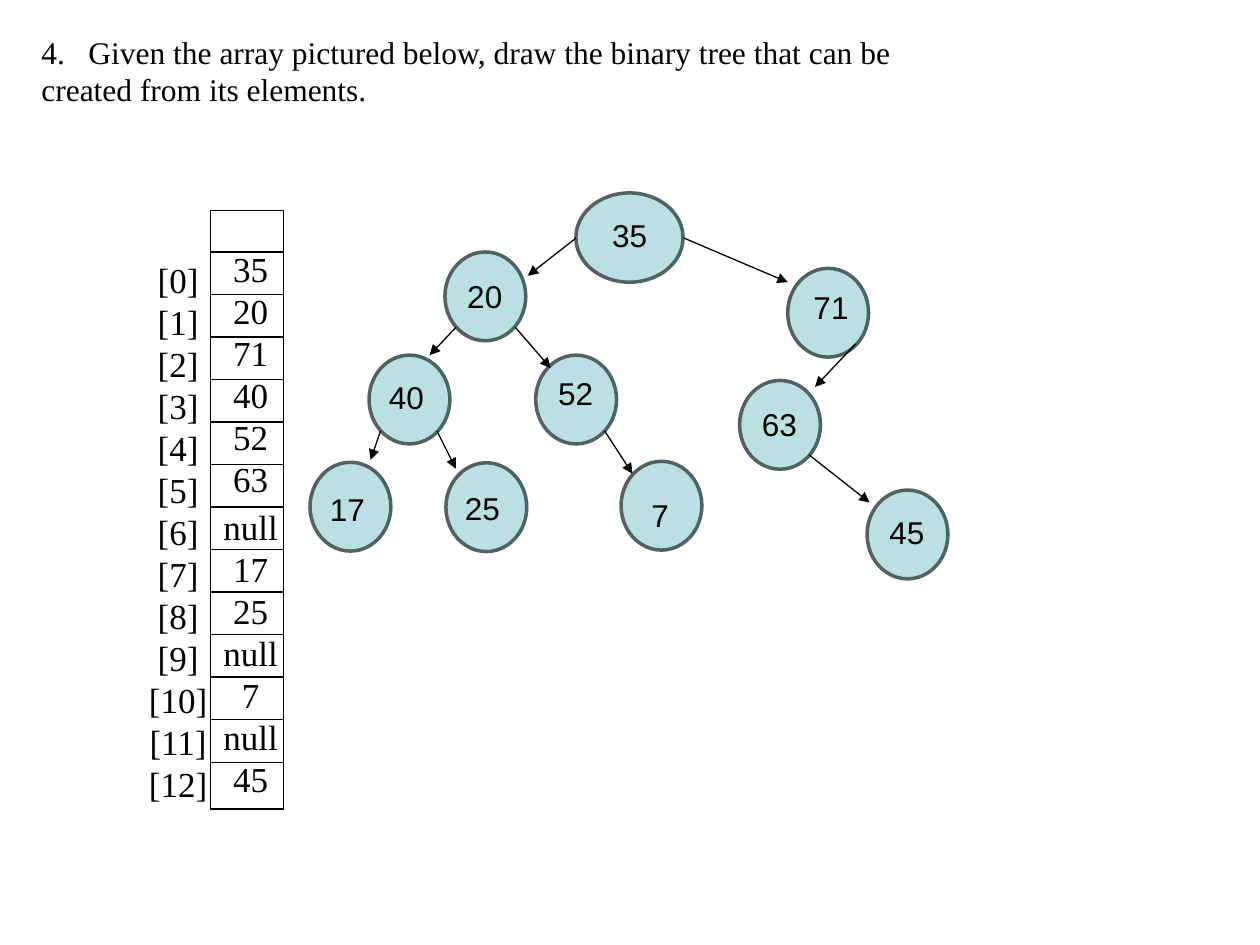
from lxml.etree import SubElement
from pptx import Presentation
from pptx.dml.color import RGBColor
from pptx.enum.shapes import MSO_CONNECTOR as Connector, MSO_SHAPE as Shape
from pptx.enum.text import MSO_ANCHOR as Anchor, MSO_AUTO_SIZE as AutoSize, PP_ALIGN as Align
from pptx.oxml.ns import qn
from pptx.util import Cm, Pt

COLORS = {"ink": "000000", "node": "BBE0E3", "outline": "526263"}
SERIF, SANS = "Times New Roman", "Arial"

QUESTION = [
    "Given the array pictured below, draw the binary tree that can be",
    "created from its elements.",
]
VALUES = ["35", "20", "71", "40", "52", "63", "null",
          "17", "25", "null", "7", "null", "45"]

NODE_SIZE = (1.63, 1.79)
ROOT_SIZE = (2.16, 1.8)
NODES = [
    ("35", (11.61, 3.89), (12.09, 4.24)),
    ("20", (8.97, 5.08), (9.17, 5.46)),
    ("71", (15.88, 5.41), (16.15, 5.69)),
    ("40", (7.44, 7.16), (7.59, 7.49)),
    ("52", (10.8, 7.16), (11, 7.42)),
    ("63", (14.91, 7.67), (15.11, 8.05)),
    ("17", (6.25, 9.32), (6.4, 9.75)),
    ("25", (8.99, 9.33), (9.12, 9.73)),
    ("7", (12.52, 9.3), (12.88, 9.88)),
    ("45", (17.48, 9.88), (17.68, 10.21)),
]
EDGES = [
    (11.61, 4.8, 10.64, 5.56),
    (13.79, 4.8, 15.88, 5.69),
    (9.19, 6.6, 8.66, 7.16),
    (10.39, 6.6, 11.1, 7.42),
    (17.25, 6.93, 16.43, 7.8),
    (7.67, 8.69, 7.47, 9.27),
    (8.81, 8.69, 9.19, 9.45),
    (12.19, 8.69, 12.75, 9.55),
    (16.31, 9.17, 17.53, 10.13),
]
CELL_LEFT, CELL_TOP, CELL_WIDTH, COLUMN_HEIGHT = 4.24, 4.24, 1.47, 12.07
FIRST_RULE, RULE_STEP = 5.08, 0.857


def color(name):
    return RGBColor.from_string(COLORS[name])


def set_format(target, values):
    for name, value in values.items():
        setattr(target, name, value)


def place(shape, left, top, width, height):
    set_format(shape, {"left": Cm(left), "top": Cm(top),
                       "width": Cm(width), "height": Cm(height)})


def write_lines(shape, lines, font, size, alignment, spacing=None):
    frame = shape.text_frame
    set_format(frame, {"word_wrap": False, "auto_size": AutoSize.NONE,
                       "vertical_anchor": Anchor.TOP})
    frame.text = "\n".join(lines)
    for paragraph in frame.paragraphs:
        set_format(paragraph, {"alignment": alignment, "line_spacing": spacing,
                               "space_before": Pt(0)})
        for run in paragraph.runs:
            set_format(run.font, {"name": font, "size": Pt(size)})
            run.font.color.rgb = color("ink")
    return frame.paragraphs


def set_bullet(paragraph, tag, margin=0, **attributes):
    properties = paragraph._p.get_or_add_pPr()
    properties.set("marL", str(Cm(margin)))
    properties.set("indent", str(Cm(-margin)))
    SubElement(properties, qn(tag), attributes)


def add_question(title):
    place(title, 0.58, 0.53, 17.83, 1.8)
    first, second = write_lines(title, QUESTION, SERIF, 18, Align.LEFT, Pt(21.6))
    set_bullet(first, "a:buAutoNum", 0.95, type="arabicPeriod", startAt="4")
    set_bullet(second, "a:buNone")


def add_list(placeholder, lines, box):
    place(placeholder, *box)
    paragraphs = write_lines(placeholder, lines, SERIF, 20, Align.CENTER, Pt(24))
    for paragraph in paragraphs:
        set_bullet(paragraph, "a:buNone")
    return paragraphs


def add_line(shapes, x1, y1, x2, y2, arrow=False):
    connector = shapes.add_connector(Connector.STRAIGHT, Cm(x1), Cm(y1), Cm(x2), Cm(y2))
    connector.line.color.rgb = color("ink")
    connector.line.width = Pt(0.75)
    SubElement(connector._element.spPr, qn("a:effectLst"))
    if arrow:
        SubElement(connector.line._get_or_add_ln(), qn("a:tailEnd"), type="triangle")


def add_array_grid(shapes):
    group = shapes.add_group_shape()
    frame = group.shapes.add_shape(Shape.RECTANGLE, Cm(CELL_LEFT), Cm(CELL_TOP),
                                   Cm(CELL_WIDTH), Cm(COLUMN_HEIGHT))
    frame.shadow.inherit = False
    frame.fill.background()
    frame.line.color.rgb = color("ink")
    frame.line.width = Pt(0.75)
    for row in range(len(VALUES)):
        y = FIRST_RULE + row * RULE_STEP
        add_line(group.shapes, CELL_LEFT, y, CELL_LEFT + CELL_WIDTH, y)


def add_node(shapes, value, corner, label_corner, size):
    ellipse = shapes.add_shape(Shape.OVAL, *map(Cm, corner + size))
    ellipse.shadow.inherit = False
    ellipse.fill.solid()
    ellipse.fill.fore_color.rgb = color("node")
    ellipse.line.color.rgb = color("outline")
    ellipse.line.width = Pt(2)
    label_size = (0.5 + 0.36 * len(value), 1.02)
    label = shapes.add_textbox(*map(Cm, label_corner + label_size))
    write_lines(label, [value], SANS, 18, Align.LEFT)


def main():
    presentation = Presentation()
    set_format(presentation, {"slide_width": Cm(25.4), "slide_height": Cm(19.05)})
    slide = presentation.slides.add_slide(presentation.slide_layouts[3])
    title, indexes, values = slide.placeholders

    add_question(title)
    add_list(indexes, [f"[{i}]" for i in range(len(VALUES))], (2.74, 5.08, 1.7, 11.38))
    value_lines = add_list(values, VALUES, (4.24, 4.87, 1.63, 11.38))
    value_lines[VALUES.index("null")].space_before = Pt(3)
    add_array_grid(slide.shapes)
    for value, corner, label_corner in NODES:
        size = ROOT_SIZE if value == VALUES[0] else NODE_SIZE
        add_node(slide.shapes, value, corner, label_corner, size)
    for edge in EDGES:
        add_line(slide.shapes, *edge, arrow=True)
    presentation.save("out.pptx")


if __name__ == "__main__":
    main()
